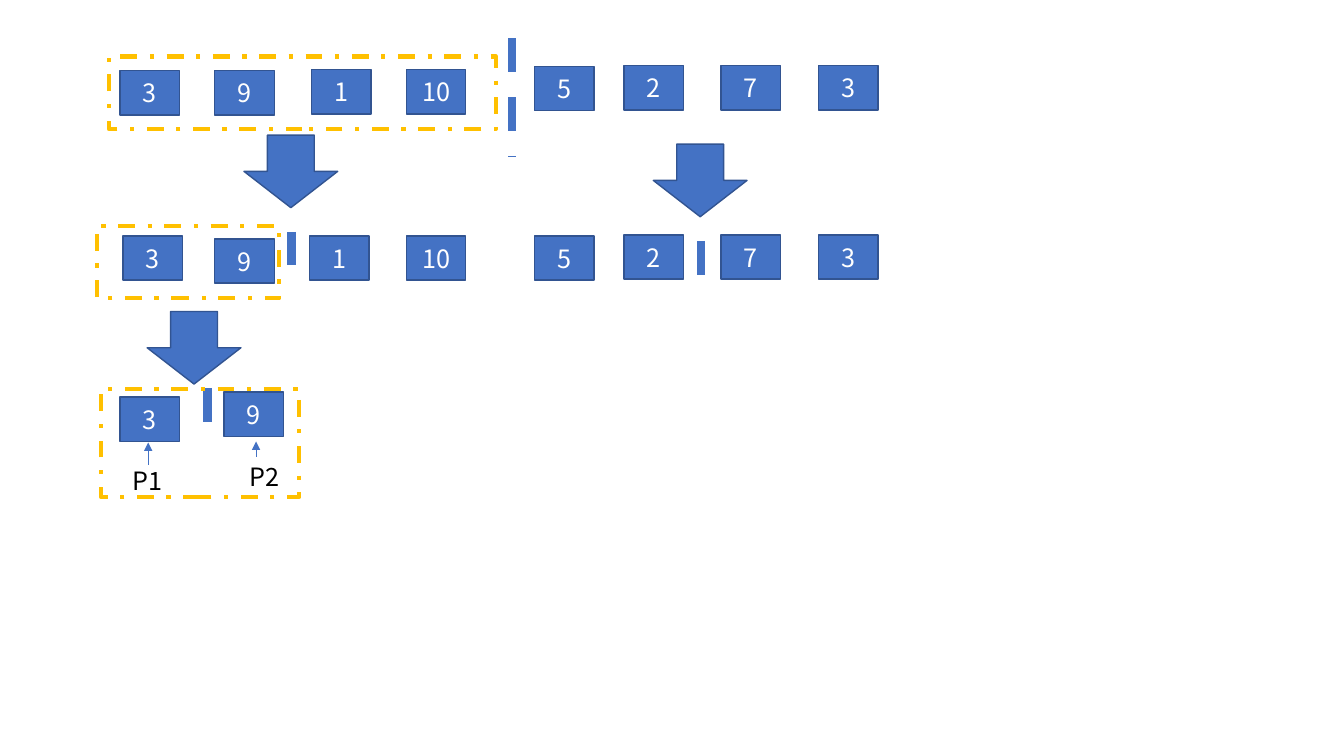
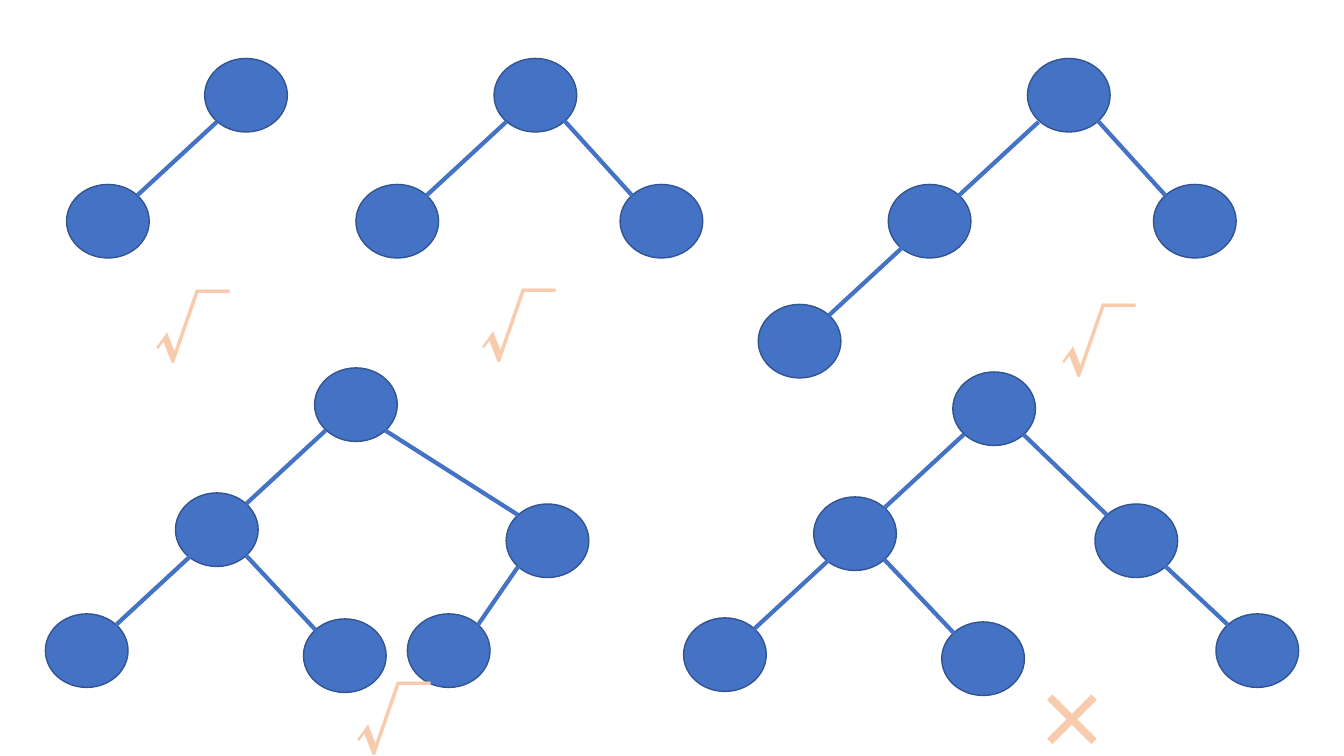
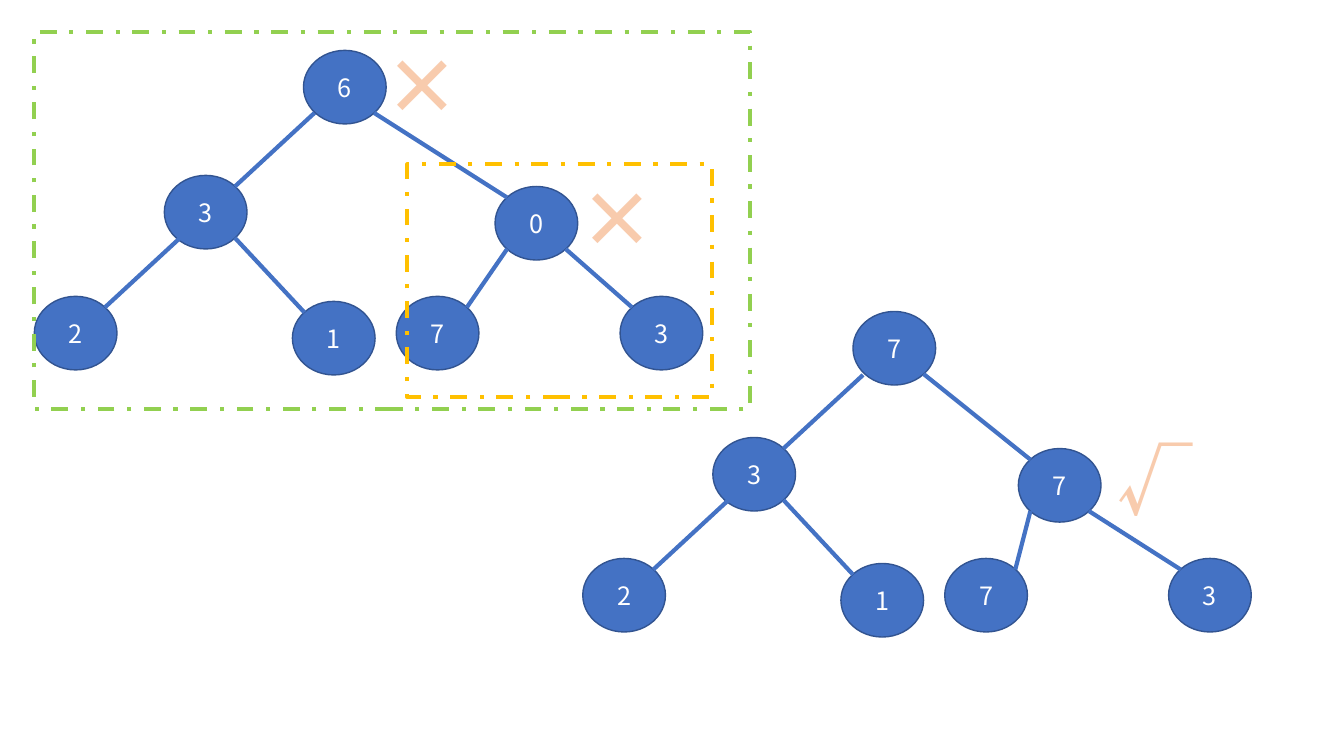
from dataclasses import dataclass

from lxml.etree import SubElement
from pptx import Presentation
from pptx.dml.color import RGBColor
from pptx.enum.dml import MSO_LINE as Dash
from pptx.enum.shapes import MSO_CONNECTOR as Connector, MSO_SHAPE as Preset
from pptx.enum.text import MSO_ANCHOR as Anchor, MSO_AUTO_SIZE as AutoSize, PP_ALIGN as Align
from pptx.oxml import parse_xml
from pptx.oxml.ns import nsdecls, qn
from pptx.util import Inches, Pt


@dataclass(frozen=True)
class Theme:
    font: str = "Noto Sans CJK SC"
    blue: str = "4472C4"
    edge: str = "325491"
    gold: str = "FFC000"
    green: str = "92D050"
    white: str = "FFFFFF"
    black: str = "000000"
    mark: str = "F8CBAD"
    mark_edge: str = "ED7D31"
    body_size: int = 18
    mark_size: int = 54
    edge_width: float = 1
    link_width: float = 3
    divider_width: float = 6
    pointer_width: float = 0.5


theme = Theme()
presentation = Presentation()
presentation.slide_width, presentation.slide_height = Inches(13.33), Inches(7.5)
blank = presentation.slide_layouts[6]


def add_block(slide, preset, box, text="", color=theme.white, frame=None):
    """Filled shape, dash-dot frame, or text box when preset is None."""
    box = [Inches(length) for length in box]
    if preset is None:
        shape = slide.shapes.add_textbox(*box)
    else:
        shape = slide.shapes.add_shape(preset, *box)
        shape.shadow.inherit = False
        shape.line.color.rgb = RGBColor.from_string(frame or theme.edge)
        shape.line.width = Pt(theme.link_width if frame else theme.edge_width)
        if frame:
            shape.fill.background()
            shape.line.dash_style = Dash.DASH_DOT
        else:
            shape.fill.solid()
            shape.fill.fore_color.rgb = RGBColor.from_string(theme.blue)
    if text:
        text_frame = shape.text_frame
        text_frame.word_wrap = True
        text_frame.text = text
        paragraph = text_frame.paragraphs[0]
        paragraph.font.name = theme.font
        paragraph.font.size = Pt(theme.body_size)
        paragraph.font.color.rgb = RGBColor.from_string(color)
        latin = paragraph.font._element.find(qn("a:latin"))
        latin.addnext(parse_xml(f'<a:ea {nsdecls("a")} typeface="{theme.font}"/>'))
        if preset is None:
            text_frame.auto_size = AutoSize.SHAPE_TO_FIT_TEXT
        else:
            text_frame.vertical_anchor = Anchor.MIDDLE
            paragraph.alignment = Align.CENTER
    return shape


def add_line(slide, start, end, width, dash=None, arrow=False):
    ends = [Inches(length) for length in (*start, *end)]
    connector = slide.shapes.add_connector(Connector.STRAIGHT, *ends)
    connector.line.color.rgb = RGBColor.from_string(theme.blue)
    connector.line.width = Pt(width)
    if dash:
        connector.line.dash_style = dash
    if arrow:
        SubElement(connector.line._get_or_add_ln(), qn("a:tailEnd"), type="triangle")
    SubElement(connector._element.spPr, qn("a:effectLst"))


# Slide 1: splitting the list in halves
slide = presentation.slides.add_slide(blank)
tile_size = (0.59, 0.44)
tiles = [
    # whole list
    (1.19, 0.70, "3"), (2.13, 0.70, "9"), (3.09, 0.69, "1"), (4.03, 0.69, "10"),
    (5.30, 0.66, "5"), (6.19, 0.65, "2"), (7.15, 0.65, "7"), (8.12, 0.65, "3"),
    # halves
    (1.22, 2.34, "3"), (2.13, 2.37, "9"), (3.07, 2.34, "1"), (4.03, 2.34, "10"),
    (5.30, 2.34, "5"), (6.19, 2.33, "2"), (7.15, 2.33, "7"), (8.12, 2.33, "3"),
    # first pair
    (1.19, 3.94, "3"), (2.22, 3.89, "9"),
]
for left, top, value in tiles:
    add_block(slide, Preset.RECTANGLE, (left, top, *tile_size), value)
for left, top in [(2.42, 1.34), (1.46, 3.09), (6.48, 1.43)]:
    add_block(slide, Preset.DOWN_ARROW, (left, top, 0.93, 0.72))
for x, top, bottom in [(5.08, 0.38, 1.56), (2.89, 2.30, 2.82), (2.06, 3.85, 4.41), (6.95, 2.39, 2.91)]:
    add_line(slide, (x, top), (x, bottom), theme.divider_width, dash=Dash.DASH)
for box in [(1.08, 0.56, 3.84, 0.72), (0.96, 2.24, 1.81, 0.72), (1.00, 3.86, 1.97, 1.07)]:
    add_block(slide, Preset.RECTANGLE, box, frame=theme.gold)

# Pointers below the first pair
for label, left, top, x, bottom, tip in [("P1", 1.22, 4.57, 1.47, 4.61, 4.39), ("P2", 2.38, 4.53, 2.54, 4.53, 4.38)]:
    add_block(slide, None, (left, top, 0.51, 0.40), label, theme.black)
    add_line(slide, (x, bottom), (x, tip), theme.pointer_width, arrow=True)

# Slides 2 and 3: trees, whose node keys spell the way down from the root
shape_slide = {
    "trees": [
        {"": (2.03, 0.58), "L": (0.66, 1.83)},
        {"": (4.90, 0.58), "L": (3.53, 1.83), "R": (6.15, 1.83)},
        {"": (10.19, 0.58), "L": (8.81, 1.83), "R": (11.44, 1.83), "LL": (7.52, 3.02)},
        {"": (3.12, 3.65), "L": (1.74, 4.89), "R": (5.02, 5.00),
         "LL": (0.45, 6.09), "LR": (3.01, 6.14), "RL": (4.04, 6.09)},
        {"": (9.45, 3.69), "L": (8.07, 4.93), "R": (10.86, 5.00),
         "LL": (6.78, 6.13), "LR": (9.34, 6.17), "RR": (12.06, 6.09)},
    ],
    "frames": [],
    "marks": [("√", 1.43, 2.74), ("√", 4.66, 2.73), ("√", 10.41, 2.88), ("√", 3.42, 6.63), ("×", 10.16, 6.63)],
}
heap_slide = {
    "trees": [
        {"": (3.01, 0.50, "6"), "L": (1.63, 1.74, "3"), "R": (4.91, 1.85, "0"), "LL": (0.34, 2.94, "2"),
         "LR": (2.90, 2.99, "1"), "RL": (3.93, 2.94, "7"), "RR": (6.15, 2.94, "3")},
        {"": (8.46, 3.09, "7"), "L": (7.07, 4.34, "3"), "R": (10.10, 4.45, "7"), "LL": (5.78, 5.54, "2"),
         "LR": (8.34, 5.59, "1"), "RL": (9.37, 5.54, "7"), "RR": (11.59, 5.54, "3")},
    ],
    "frames": [(theme.gold, (4.04, 1.63, 3.02, 2.31)), (theme.green, (0.34, 0.32, 7.10, 3.74))],
    "marks": [("×", 5.65, 1.66), ("√", 10.98, 4.26), ("×", 3.72, 0.34)],
}
node_size = (0.82, 0.73)
near_x, far_x, near_y, far_y = 0.12, 0.70, 0.11, 0.62  # diagonal points on a node's outline
outer_run, outer_rise = 0.79, 0.73  # links down the left side are parallel
mark_widths = {"√": 0.96, "×": 0.73}

for content in (shape_slide, heap_slide):
    slide = presentation.slides.add_slide(blank)
    for tree in content["trees"]:
        for key, (left, top, *label) in tree.items():
            add_block(slide, Preset.FLOWCHART_CONNECTOR, (left, top, *node_size), "".join(label))
            if not key:
                continue
            parent_left, parent_top = tree[key[:-1]][:2]
            goes_left = key.endswith("L")
            end = (left + (far_x if goes_left else near_x), top + near_y)
            start = (parent_left + (near_x if goes_left else far_x), parent_top + far_y)
            if "R" not in key:
                start = (end[0] + outer_run, end[1] - outer_rise)
            add_line(slide, start, end, theme.link_width)
    for color, box in content["frames"]:
        add_block(slide, Preset.RECTANGLE, box, frame=color)

    # Right and wrong marks with outlined letters
    for symbol, left, top in content["marks"]:
        mark = add_block(slide, None, (left, top, mark_widths[symbol], 1.01), symbol, theme.mark)
        mark.text_frame.word_wrap = False
        paragraph = mark.text_frame.paragraphs[0]
        paragraph.alignment = Align.CENTER
        paragraph.font.size = Pt(theme.mark_size)
        paragraph.font.bold = True
        paragraph.font._element.insert(0, parse_xml(
            f'<a:ln {nsdecls("a")} w="{Pt(1.75)}"><a:solidFill>'
            f'<a:srgbClr val="{theme.mark_edge}"/></a:solidFill></a:ln>'))

presentation.save("out.pptx")
